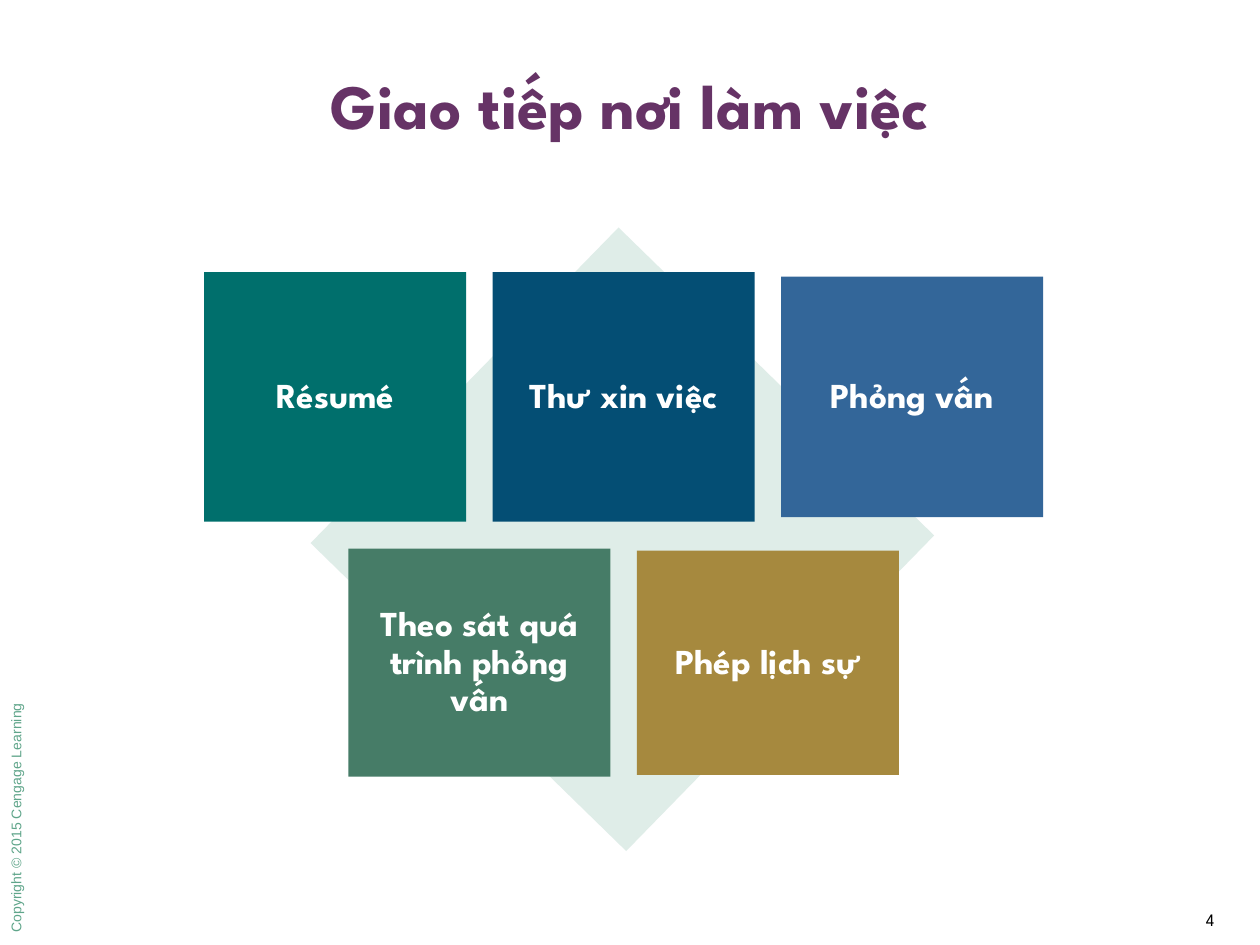
from dataclasses import dataclass

from pptx import Presentation
from pptx import util as u
from pptx.dml.color import RGBColor
from pptx.enum import shapes, text


@dataclass(frozen=True)
class Theme:
    """Colours, fonts and type sizes of the slide."""
    heading_font: str = "League Spartan"
    small_font: str = "Arial"
    title: str = "663366"
    diamond: str = "DFEDE8"
    card_text: str = "FFFFFF"
    copyright: str = "5FA58A"
    number: str = "000000"
    title_size: int = 36
    card_size: int = 20
    number_size: int = 10
    copyright_size: int = 8


THEME = Theme()
CARD_WIDTH, CARD_GAP = 2.08, 0.21
CARD_ROWS = [
    (3.15, [("Résumé", "006F6C", 1.98),
            ("Thư xin việc", "044E74", 1.98),
            ("Phỏng vấn", "336699", 1.91)]),
    (5.26, [("Theo sát quá trình phỏng vấn", "467C67", 1.81),
            ("Phép lịch sự", "A6893E", 1.78)]),
]


def write(shape, words, size, color, font=THEME.heading_font, bold=False,
          align=text.PP_ALIGN.CENTER, wrap=True):
    """Write one styled paragraph in a shape and return the paragraph."""
    frame = shape.text_frame
    frame.text = words
    frame.word_wrap = wrap
    frame.vertical_anchor = text.MSO_ANCHOR.MIDDLE
    paragraph = frame.paragraphs[0]
    paragraph.alignment = align
    run_font = paragraph.runs[0].font
    run_font.name, run_font.size, run_font.bold = font, u.Pt(size), bold
    run_font.color.rgb = RGBColor.from_string(color)
    return paragraph


def add_block(slide, box, color):
    """Add a plain filled rectangle."""
    shape = slide.shapes.add_shape(
        shapes.MSO_SHAPE.RECTANGLE, *map(u.Inches, box))
    shape.shadow.inherit = False
    shape.fill.solid()
    shape.fill.fore_color.rgb = RGBColor.from_string(color)
    shape.line.fill.background()
    return shape


def add_card(slide, box, words, color):
    """Add a coloured card with a centred label."""
    card = add_block(slide, box, color)
    paragraph = write(card, words, THEME.card_size, THEME.card_text, bold=True)
    paragraph.line_spacing = 0.9
    paragraph.space_after = u.Pt(7)
    frame = card.text_frame
    frame.margin_left = frame.margin_right = u.Inches(0.08)
    frame.margin_top = frame.margin_bottom = u.Inches(0.08)


def add_diagram(slide, box):
    """Add the diamond and the rows of cards centred across the box."""
    left, top, width, height = box
    side = 3.5
    diamond = add_block(slide, (left + 1.57, top + 0.37, side, side),
                        THEME.diamond)
    diamond.rotation = 314.3
    pitch = CARD_WIDTH + CARD_GAP
    for middle, cards in CARD_ROWS:
        row_left = left + (width - len(cards) * pitch + CARD_GAP) / 2
        for column, (words, color, card_height) in enumerate(cards):
            card_box = (row_left + column * pitch, middle - card_height / 2,
                        CARD_WIDTH, card_height)
            add_card(slide, card_box, words, color)


def add_title(slide, box):
    """Add the slide title."""
    title = slide.shapes.add_textbox(*map(u.Inches, box))
    write(title, "Giao tiếp nơi làm việc", THEME.title_size, THEME.title,
          bold=True)


def add_copyright(slide, box):
    """Add the copyright line running up the left edge."""
    line = slide.shapes.add_textbox(*map(u.Inches, box))
    line.rotation = 270
    write(line, "Copyright © 2015 Cengage Learning", THEME.copyright_size,
          THEME.copyright, THEME.small_font, align=text.PP_ALIGN.LEFT,
          wrap=False)


def add_number(slide, box):
    """Add the slide number."""
    number = slide.shapes.add_textbox(*map(u.Inches, box))
    write(number, "4", THEME.number_size, THEME.number)


def main():
    """Build and save the slide."""
    presentation = Presentation()
    presentation.slide_width = u.Inches(10)
    presentation.slide_height = u.Inches(7.5)
    slide = presentation.slides.add_slide(presentation.slide_layouts[6])
    add_number(slide, (9.22, 7.1, 0.77, 0.4))
    add_copyright(slide, (-0.89, 6.37, 2.03, 0.23))
    add_diagram(slide, (1.62, 2.16, 6.66, 4))
    add_title(slide, (0, 0.28, 10, 1.09))
    presentation.save("out.pptx")


if __name__ == "__main__":
    main()
